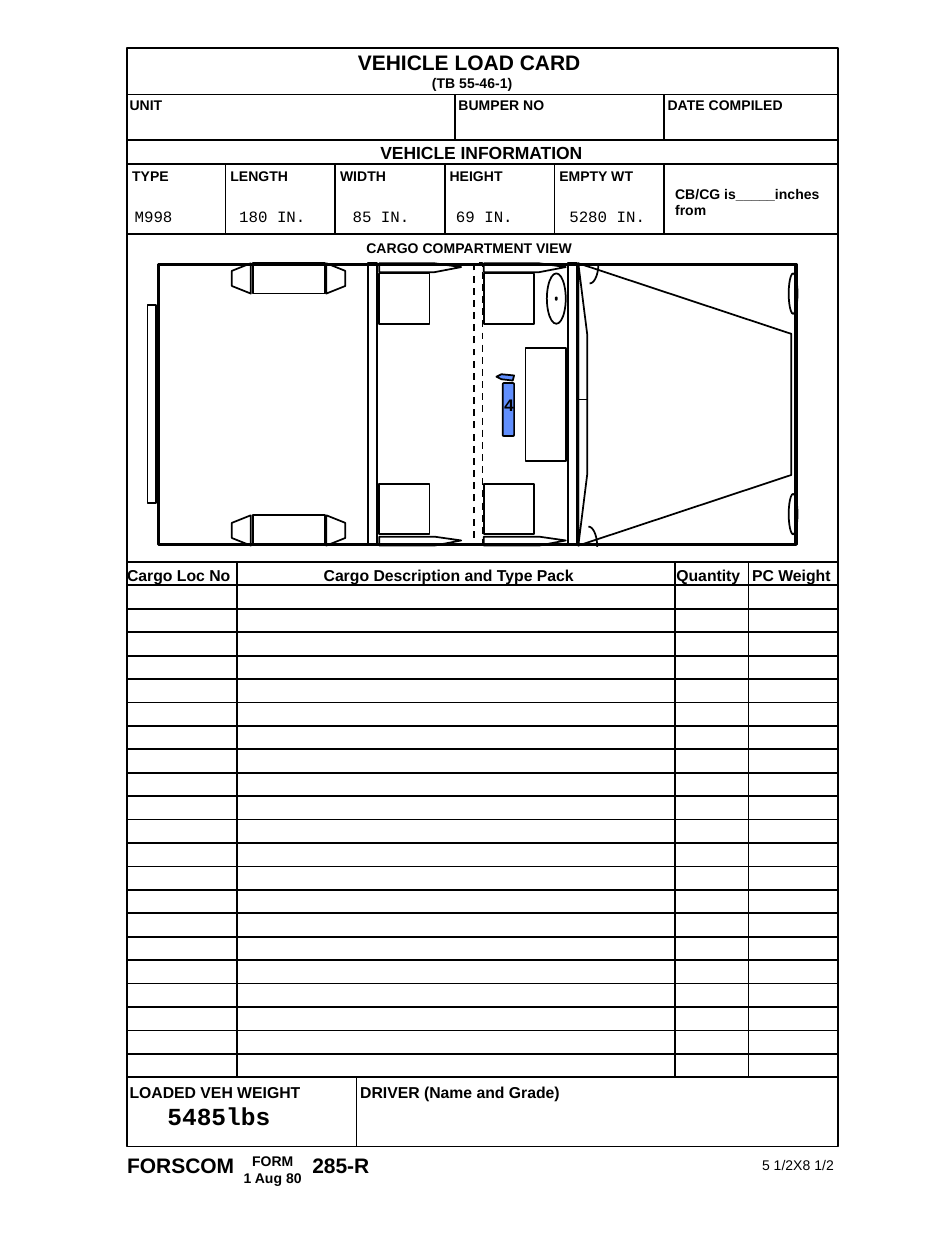
"""Build a one-page vehicle load card form."""
import math

import lxml.etree
import pptx
import pptx.dml.color
import pptx.enum.dml
import pptx.enum.shapes
import pptx.enum.text
import pptx.oxml.ns
import pptx.util

Inches = pptx.util.Inches
SHAPE = pptx.enum.shapes.MSO_SHAPE
ALIGN = pptx.enum.text.PP_ALIGN
BLACK = pptx.dml.color.RGBColor(0x00, 0x00, 0x00)
BLUE = pptx.dml.color.RGBColor(0x61, 0x8F, 0xFD)
LEFT, TOP, RIGHT, BOTTOM = 1.01, 0.38, 6.65, 9.1
TABLE_TOP, TABLE_BOTTOM, INTERVALS = 4.46, 8.55, 22
BODY_TOP, BODY_BOTTOM = 2.09, 4.33
TEXT_SLACK = 0.03


def fill_text(sp, text, size=8, bold=True, font="Arial", align=ALIGN.LEFT, wrap=False, tabs=()):
    """Write text into a shape with the given format."""
    tf = sp.text_frame
    tf.word_wrap = wrap
    tf.auto_size = pptx.enum.text.MSO_AUTO_SIZE.SHAPE_TO_FIT_TEXT
    tf.vertical_anchor = pptx.enum.text.MSO_ANCHOR.TOP
    for i, line in enumerate(text.split("\n")):
        p = tf.add_paragraph() if i else tf.paragraphs[0]
        p.alignment = align
        r = p.add_run()
        r.text = line
        r.font.name, r.font.size, r.font.bold = font, pptx.util.Pt(size), bold
        r.font.color.rgb = BLACK
        if tabs:
            stops = lxml.etree.SubElement(p._p.get_or_add_pPr(), pptx.oxml.ns.qn("a:tabLst"))
            for pos in tabs:
                lxml.etree.SubElement(stops, pptx.oxml.ns.qn("a:tab"), pos=str(Inches(pos)), algn="l")


class Card:
    """Hold the drawing style and the current slide."""

    def __init__(self, s, weight=1):
        self.s = s
        self.weight = weight

    def finish(self, sp, fill=None, weight=None, dashed=False):
        """Apply outline, fill and no shadow."""
        sp.shadow.inherit = False
        if fill is None:
            sp.fill.background()
        else:
            sp.fill.solid()
            sp.fill.fore_color.rgb = fill
        sp.line.color.rgb = BLACK
        sp.line.width = pptx.util.Pt(weight or self.weight)
        if dashed:
            sp.line.dash_style = pptx.enum.dml.MSO_LINE.DASH
        return sp

    def shape(self, x, y, w, h, kind=SHAPE.RECTANGLE, **style):
        """Add a preset shape."""
        sp = self.s.shapes.add_shape(kind, Inches(x), Inches(y), Inches(w), Inches(h))
        return self.finish(sp, **style)

    def outline(self, points, close=True, **style):
        """Add a freeform through the points."""
        pts = [(Inches(x), Inches(y)) for x, y in points]
        fb = self.s.shapes.build_freeform(*pts[0], scale=1.0)
        fb.add_line_segments(pts[1:], close=close)
        return self.finish(fb.convert_to_shape(), **style)

    def line(self, x1, y1, x2, y2):
        """Add a straight rule."""
        ends = [Inches(v) for v in (x1, y1, x2, y2)]
        cx = self.s.shapes.add_connector(pptx.enum.shapes.MSO_CONNECTOR.STRAIGHT, *ends)
        cx.line.color.rgb = BLACK
        cx.line.width = pptx.util.Pt(self.weight)
        lxml.etree.SubElement(cx._element.spPr, pptx.oxml.ns.qn("a:effectLst"))

    def text(self, x, y, w, h, text, **style):
        """Add a text box with a little spare width."""
        sp = self.s.shapes.add_textbox(Inches(x), Inches(y), Inches(w + TEXT_SLACK), Inches(h))
        fill_text(sp, text, **style)

    def title(self, x, y, w, h, text, **style):
        """Move and fill the title placeholder."""
        sp = self.s.shapes.title
        sp.left, sp.top, sp.width, sp.height = (Inches(v) for v in (x, y, w + TEXT_SLACK, h))
        fill_text(sp, text, **style)


def draw_form(card):
    """Draw the frame and all rules of the form."""
    card.shape(LEFT, TOP, RIGHT - LEFT, BOTTOM - TOP)
    card.shape(LEFT, 0.75, RIGHT - LEFT, 0.36)
    pitch = (TABLE_BOTTOM - TABLE_TOP) / INTERVALS
    for y in [1.3, 1.86] + [TABLE_TOP + i * pitch for i in range(INTERVALS + 1)]:
        card.line(LEFT, y, RIGHT, y)
    columns = [
        (0.75, 1.1, (3.61, 5.27)),
        (1.3, 1.85, [1.79 + 0.87 * i for i in range(5)]),
        (TABLE_TOP, TABLE_BOTTOM, (1.88, 5.36, 5.94)),
        (TABLE_BOTTOM, BOTTOM, (2.83,)),
    ]
    for top, bottom, xs in columns:
        for x in xs:
            card.line(x, top, x, bottom)


def draw_labels(card):
    """Write all headings and entries."""
    card.title(2.74, 0.34, 1.97, 0.3, "VEHICLE LOAD CARD", size=12)
    card.text(2.92, 1.08, 1.81, 0.26, "VEHICLE INFORMATION", size=10)
    small = [
        (3.33, 0.54, 0.84, "(TB 55-46-1)"), (0.93, 0.72, 0.46, "UNIT"),
        (3.54, 0.72, 0.88, "BUMPER NO"), (5.2, 0.72, 1.12, "DATE COMPILED"),
        (0.95, 1.28, 0.49, "TYPE"), (1.73, 1.28, 0.66, "LENGTH"),
        (2.6, 1.28, 0.56, "WIDTH"), (3.47, 1.28, 0.62, "HEIGHT"),
        (4.34, 1.28, 0.79, "EMPTY WT"), (2.81, 1.85, 1.84, "CARGO COMPARTMENT VIEW"),
    ]
    for x, y, w, label in small:
        card.text(x, y, w, 0.23, label)
    medium = [
        (0.91, 4.44, 1.02, "Cargo Loc No"), (2.47, 4.44, 2.19, "Cargo Description and Type Pack"),
        (5.27, 4.44, 0.71, "Quantity"), (5.87, 4.44, 0.82, "PC Weight"),
        (0.93, 8.54, 1.55, "LOADED VEH WEIGHT"), (2.76, 8.54, 1.78, "DRIVER (Name and Grade)"),
    ]
    for x, y, w, label in medium:
        card.text(x, y, w, 0.25, label, size=9)
    card.text(5.26, 1.42, 1.35, 0.36, "CB/CG is_____inches\nfrom")
    card.text(0.91, 9.1, 1.05, 0.3, "FORSCOM", size=12)
    card.text(1.78, 9.1, 0.74, 0.36, "FORM\n1 Aug 80", align=ALIGN.CENTER, wrap=True)
    card.text(2.38, 9.1, 0.65, 0.3, "285-R", size=12)
    card.text(5.95, 9.13, 0.77, 0.23, "5 1/2X8 1/2", bold=False)
    card.text(0.97, 1.59, 4.25, 0.25, "M998\t180 IN.\t85 IN.\t69 IN.\t5280 IN.",
              size=9, bold=False, font="Courier New", tabs=(0.83, 1.73, 2.55, 3.45))
    card.text(1.23, 8.69, 1.02, 0.33, "5485lbs", size=14, font="Courier New")


def draw_vehicle(card):
    """Draw the plan view of the vehicle and its load."""
    height = BODY_BOTTOM - BODY_TOP
    card.shape(1.26, 2.1, 5.06, 2.22, weight=2)
    for x in (2.92, 3.76, 4.51):
        card.shape(x, BODY_TOP, 0.07, height, dashed=x == 3.76)
    for nose in (6.28, 4.66):
        card.outline([(4.59, BODY_TOP), (nose, 2.65), (nose, 3.77), (4.59, BODY_BOTTOM)])
    for x in (3.01, 3.84):
        for y in (BODY_TOP, 4.26):
            card.outline([(x, y), (x + 0.44, y), (x + 0.65, y + 0.03),
                          (x + 0.44, y + 0.07), (x, y + 0.07)])
        for y in (2.17, 3.84):
            card.shape(x, y, 0.4, 0.4)
    for y in (BODY_TOP, 4.09):
        card.shape(2.01, y, 0.57, 0.24)
        for inner, outer in ((1.99, 1.84), (2.59, 2.74)):
            card.outline([(inner, y), (outer, y + 0.06), (outer, y + 0.18), (inner, y + 0.24)])
    card.shape(4.17, 2.76, 0.32, 0.9)
    card.shape(1.17, 2.42, 0.07, 1.57)
    for box in ((4.34, 2.17, 0.15, 0.4), (4.41, 2.36, 0.01, 0.02),
                (6.26, 2.17, 0.07, 0.32), (6.26, 3.92, 0.07, 0.32)):
        card.shape(*box, kind=SHAPE.OVAL)
    card.line(4.59, 3.17, 4.66, 3.17)
    angles = [math.pi / 2 * i / 12 for i in range(13)]
    for x, y, rise in ((4.67, 4.34, -0.16), (4.68, BODY_TOP, 0.16)):
        card.outline([(x + 0.07 * math.sin(a), y + rise * math.cos(a)) for a in angles], close=False)
    load = card.shape(3.99, 3.04, 0.09, 0.42, kind=SHAPE.ROUNDED_RECTANGLE, fill=BLUE)
    load.adjustments[0] = 0.1
    card.outline([(4.07, 3.02), (3.98, 3.01), (3.94, 2.99), (3.98, 2.97), (4.08, 2.98)], fill=BLUE)
    card.text(3.9, 3.08, 0.28, 0.26, "4", size=10, font="Courier New")


def main():
    """Build and save the slide."""
    prs = pptx.Presentation()
    prs.slide_width, prs.slide_height = Inches(7.5), Inches(10)
    card = Card(prs.slides.add_slide(prs.slide_layouts[5]))
    draw_form(card)
    draw_vehicle(card)
    draw_labels(card)
    prs.save("out.pptx")


if __name__ == "__main__":
    main()
